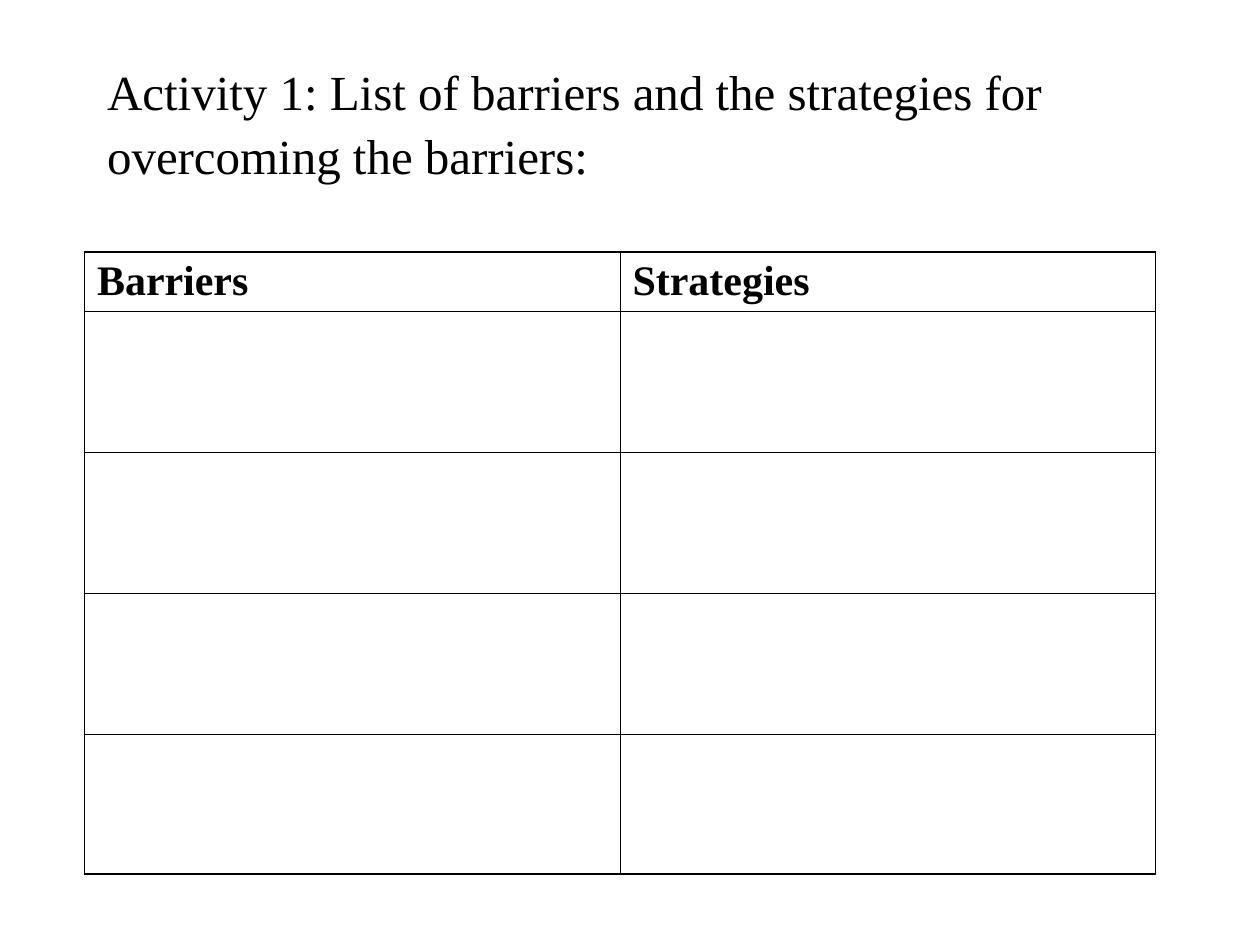
import pptx
import pptx.dml.color
import pptx.enum.text
import pptx.oxml
import pptx.oxml.ns
import pptx.util
from pptx.util import Inches

TITLE = "Activity 1: List of barriers and the strategies for overcoming the barriers:"
HEADINGS = ["Barriers", "Strategies"]
ROW_HEIGHTS = [0.47, 1.12, 1.12, 1.12, 1.11]
COLUMN_WIDTH = 4.25
FONT = "Times New Roman"
BLACK = "000000"
OUTER_LINE, INNER_LINE = 1.08, 0.45


def format_text(para, size, bold=False):
    para.font.name = FONT
    para.font.size = pptx.util.Pt(size)
    para.font.bold = bold
    para.font.color.rgb = pptx.dml.color.RGBColor.from_string(BLACK)


def set_borders(cell, widths):
    """Draw the cell's lines; widths maps L, R, T and B to points."""
    properties = cell._tc.get_or_add_tcPr()
    for position, (side, width) in enumerate(widths.items()):
        line = pptx.oxml.parse_xml(
            f'<a:ln{side} {pptx.oxml.ns.nsdecls("a")} w="{pptx.util.Pt(width)}">'
            f'<a:solidFill><a:srgbClr val="{BLACK}"/></a:solidFill></a:ln{side}>'
        )
        properties.insert(position, line)


def add_title(page):
    title = page.shapes.title
    title.left, title.top = Inches(0.75), Inches(0.33)
    title.width, title.height = Inches(8.5), Inches(1.25)
    frame = title.text_frame
    frame.text = TITLE
    frame.word_wrap = True
    frame.auto_size = pptx.enum.text.MSO_AUTO_SIZE.NONE
    frame.vertical_anchor = pptx.enum.text.MSO_ANCHOR.MIDDLE
    para = frame.paragraphs[0]
    para.alignment = pptx.enum.text.PP_ALIGN.LEFT
    para.line_spacing = 1.09
    format_text(para, 28)


def add_worksheet(page):
    row_count, column_count = len(ROW_HEIGHTS), len(HEADINGS)
    table = page.shapes.add_table(
        row_count, column_count, Inches(0.67), Inches(2),
        Inches(COLUMN_WIDTH * column_count), Inches(sum(ROW_HEIGHTS)),
    ).table
    table.horz_banding = False
    for column in table.columns:
        column.width = Inches(COLUMN_WIDTH)
    for r, height in enumerate(ROW_HEIGHTS):
        table.rows[r].height = Inches(height)
        for c, heading in enumerate(HEADINGS):
            cell = table.cell(r, c)
            cell.fill.background()
            on_edge = {"L": c == 0, "R": c == column_count - 1,
                       "T": r == 0, "B": r == row_count - 1}
            set_borders(cell, {side: OUTER_LINE if outer else INNER_LINE
                               for side, outer in on_edge.items()})
            if r == 0:
                cell.text = heading
                para = cell.text_frame.paragraphs[0]
                para.space_before = pptx.util.Pt(6)
                format_text(para, 24, bold=True)


def main():
    deck = pptx.Presentation()
    deck.slide_width, deck.slide_height = Inches(10), Inches(7.5)
    page = deck.slides.add_slide(deck.slide_layouts.get_by_name("Title Only"))
    add_title(page)
    add_worksheet(page)
    deck.save("out.pptx")


if __name__ == "__main__":
    main()
